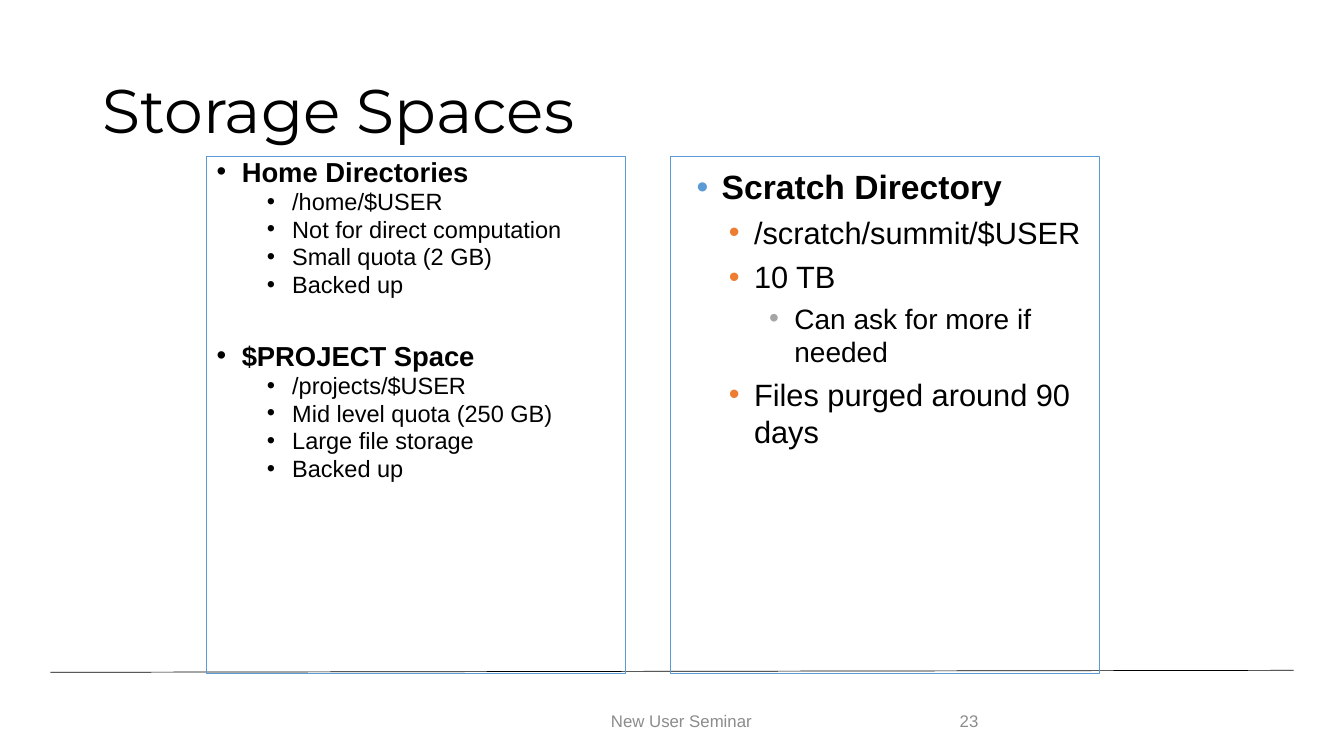
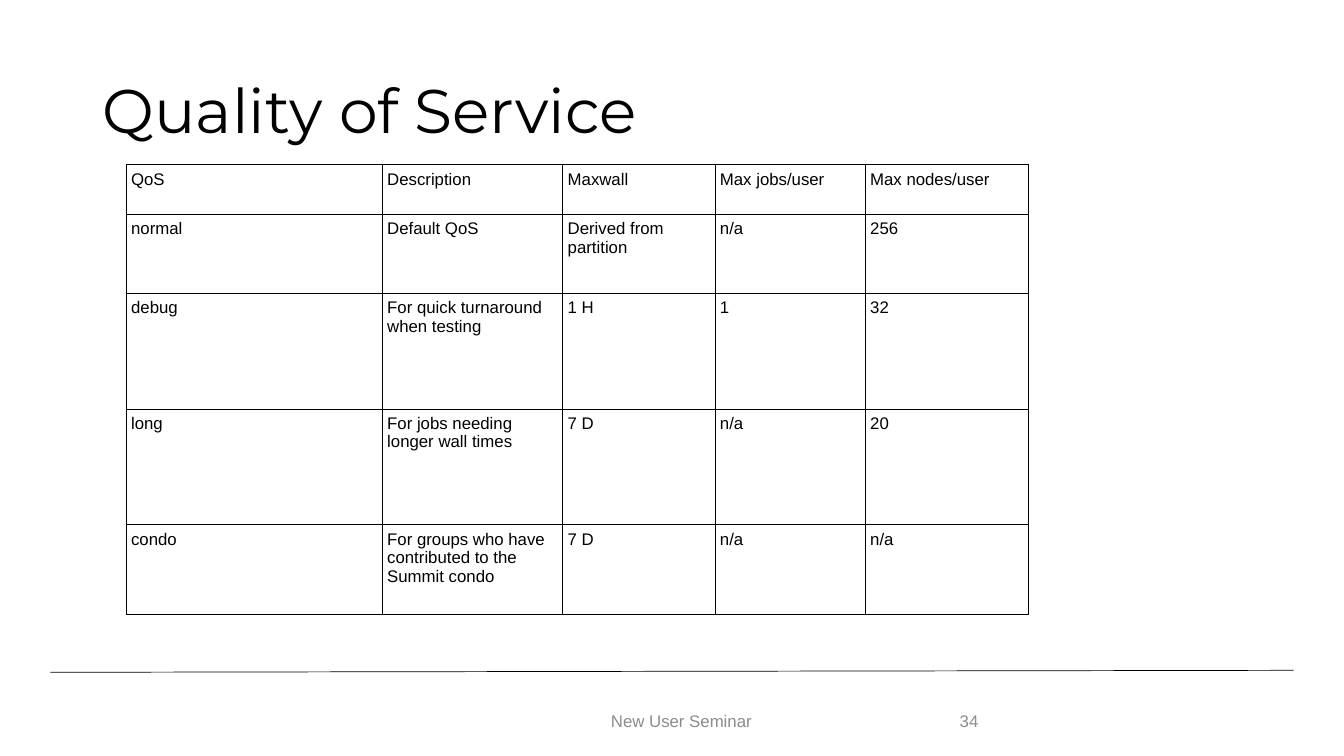
from dataclasses import dataclass
from typing import Optional

from lxml import etree
from pptx import Presentation
from pptx.dml.color import RGBColor
from pptx.enum.shapes import MSO_CONNECTOR, MSO_SHAPE
from pptx.enum.text import MSO_ANCHOR, PP_ALIGN
from pptx.oxml.ns import qn
from pptx.util import Emu, Inches, Pt

STRAIGHT = MSO_CONNECTOR.STRAIGHT
RECTANGLE = MSO_SHAPE.RECTANGLE
TOP, MIDDLE = MSO_ANCHOR.TOP, MSO_ANCHOR.MIDDLE
LEFT, CENTER = PP_ALIGN.LEFT, PP_ALIGN.CENTER

WIDTH, HEIGHT = Inches(13.33), Inches(7.5)
BODY_FONT, TITLE_FONT = "Arial", "Montserrat"
BLACK, WHITE, GREY = "000000", "FFFFFF", "8C8C8C"
BLUE, ORANGE, SILVER = "5B9BD5", "ED7D31", "A5A5A5"

# Boxes are left, top, width, height in percent of the slide.
TITLE_BOX = (6.9, 5.33, 86.25, 19.33)
FOOTER_BOX = (33.83, 92.67, 33.75, 5.33)
NUMBER_BOX = (70.67, 92.67, 5.63, 5.33)
LEFT_PANEL = (15.38, 20.67, 31.2, 68.4)
RIGHT_PANEL = (49.88, 20.67, 31.95, 68.4)
TABLE_BOX = (9.38, 21.8, 67.15, 59.5)


@dataclass(frozen=True)
class Level:
    """Look of one list level; indent in inches, size and space in points."""
    indent: float
    size: float
    before: float
    bold: bool = False
    bullet: Optional[str] = None


@dataclass(frozen=True)
class ListStyle:
    levels: tuple
    spacing: float
    insets: tuple
    group_gap: float = 0


COMPACT = ListStyle(
    (Level(0.25, 19.6, 7.7, True), Level(0.75, 16.8, 3.6)),
    spacing=0.8, insets=(0.1, 0.05), group_gap=33.5)
ROOMY = ListStyle(
    (Level(0.38, 24, 5.5, True, BLUE), Level(0.7, 22, 5.1, False, ORANGE),
     Level(1.1, 20, 4.6, False, SILVER)),
    spacing=1, insets=(0.13, 0.1))

HOME_AND_PROJECT = [
    (0, "Home Directories"),
    (1, "/home/$USER"),
    (1, "Not for direct computation"),
    (1, "Small quota (2 GB)"),
    (1, "Backed up"),
    (0, "$PROJECT Space"),
    (1, "/projects/$USER"),
    (1, "Mid level quota (250 GB)"),
    (1, "Large file storage"),
    (1, "Backed up"),
]
SCRATCH = [
    (0, "Scratch Directory"),
    (1, "/scratch/summit/$USER"),
    (1, "10 TB"),
    (2, "Can ask for more if needed"),
    (1, "Files purged around 90 days"),
]
COLUMN_WEIGHTS = (2.54, 1.79, 1.51, 1.49, 1.62)
ROW_WEIGHTS = (0.49, 0.78, 1.15, 1.15, 0.89)
SERVICES = [
    ("QoS", "Description", "Maxwall", "Max jobs/user", "Max nodes/user"),
    ("normal", "Default QoS", "Derived from partition", "n/a", "256"),
    ("debug", "For quick turnaround when testing", "1 H", "1", "32"),
    ("long", "For jobs needing longer wall times", "7 D", "n/a", "20"),
    ("condo", "For groups who have contributed to the Summit condo",
     "7 D", "n/a", "n/a"),
]


def color(value):
    return RGBColor.from_string(value)


def across(percent):
    return Emu(round(WIDTH * percent / 100))


def down(percent):
    return Emu(round(HEIGHT * percent / 100))


def place(box):
    left, top, width, height = box
    return across(left), down(top), across(width), down(height)


def child(parent, tag, **attributes):
    return etree.SubElement(parent, qn(tag), attributes)


def add_span(para, text, size, ink=BLACK, font=BODY_FONT, bold=False):
    span = para.add_run()
    span.text = text
    span.font.size = Pt(size)
    span.font.name = font
    span.font.bold = bold
    span.font.color.rgb = color(ink)


def add_label(page, box, text, size, ink=BLACK, font=BODY_FONT,
              align=LEFT, spacing=1):
    frame = page.shapes.add_textbox(*place(box)).text_frame
    frame.word_wrap = True
    frame.vertical_anchor = MIDDLE
    para = frame.paragraphs[0]
    para.alignment = align
    para.line_spacing = spacing
    add_span(para, text, size, ink, font)


def add_rule(page):
    rule = page.shapes.add_connector(
        STRAIGHT, across(3.75), down(88.93), across(96.25), down(88.67))
    rule.line.color.rgb = color(BLACK)
    rule.line.width = Pt(0.5)
    child(rule._element.spPr, "a:effectLst")


def add_page(deck, title, number):
    """Add a slide with the shared rule, title and footer."""
    page = deck.slides.add_slide(deck.slide_layouts[6])
    add_rule(page)
    add_label(page, TITLE_BOX, title, 44, font=TITLE_FONT, spacing=0.9)
    add_label(page, FOOTER_BOX, "New User Seminar", 12, GREY, align=CENTER)
    add_label(page, NUMBER_BOX, str(number), 12, GREY)
    return page


def add_bullet(para, level):
    properties = para._p.get_or_add_pPr()
    properties.set("marL", str(Inches(level.indent)))
    properties.set("indent", str(-Inches(0.25)))
    if level.bullet:
        child(child(properties, "a:buClr"), "a:srgbClr", val=level.bullet)
    child(properties, "a:buFont", typeface=BODY_FONT)
    child(properties, "a:buChar", char="•")


def add_list_panel(page, box, items, style):
    panel = page.shapes.add_shape(RECTANGLE, *place(box))
    panel.shadow.inherit = False
    panel.fill.background()
    panel.line.color.rgb = color(BLUE)
    panel.line.width = Pt(0.75)
    frame = panel.text_frame
    frame.word_wrap = True
    frame.vertical_anchor = TOP
    side, top = style.insets
    frame.margin_left = frame.margin_right = Inches(side)
    frame.margin_top = frame.margin_bottom = Inches(top)
    for index, (depth, text) in enumerate(items):
        level = style.levels[depth]
        para = frame.add_paragraph() if index else frame.paragraphs[0]
        para.level = depth
        para.alignment = LEFT
        para.line_spacing = style.spacing
        if index:
            gap = style.group_gap if depth == 0 else level.before
            para.space_before = Pt(gap)
        add_bullet(para, level)
        add_span(para, text, level.size, bold=level.bold)


def fill_cell(cell, text):
    cell.margin_left = cell.margin_right = Inches(0.05)
    cell.margin_top = cell.margin_bottom = Inches(0.05)
    properties = cell._tc.get_or_add_tcPr()
    for side in ("a:lnL", "a:lnR", "a:lnT", "a:lnB"):
        border = child(properties, side, w=str(Pt(0.5)))
        child(child(border, "a:solidFill"), "a:srgbClr", val=BLACK)
    cell.fill.solid()
    cell.fill.fore_color.rgb = color(WHITE)
    add_span(cell.text_frame.paragraphs[0], text, 12)


def add_grid(page, box, rows):
    left, top, width, height = place(box)
    table = page.shapes.add_table(
        len(rows), len(rows[0]), left, top, width, height).table
    table.first_row = table.horz_banding = False
    for column, weight in zip(table.columns, COLUMN_WEIGHTS):
        column.width = Emu(round(width * weight / sum(COLUMN_WEIGHTS)))
    for row, weight in zip(table.rows, ROW_WEIGHTS):
        row.height = Emu(round(height * weight / sum(ROW_WEIGHTS)))
    for row, texts in zip(table.rows, rows):
        for cell, text in zip(row.cells, texts):
            fill_cell(cell, text)


def build_storage_page(deck):
    page = add_page(deck, "Storage Spaces", 23)
    add_list_panel(page, LEFT_PANEL, HOME_AND_PROJECT, COMPACT)
    add_list_panel(page, RIGHT_PANEL, SCRATCH, ROOMY)


def build_service_page(deck):
    page = add_page(deck, "Quality of Service", 34)
    add_grid(page, TABLE_BOX, SERVICES)


def main():
    deck = Presentation()
    deck.slide_width, deck.slide_height = WIDTH, HEIGHT
    build_storage_page(deck)
    build_service_page(deck)
    deck.save("out.pptx")


if __name__ == "__main__":
    main()
